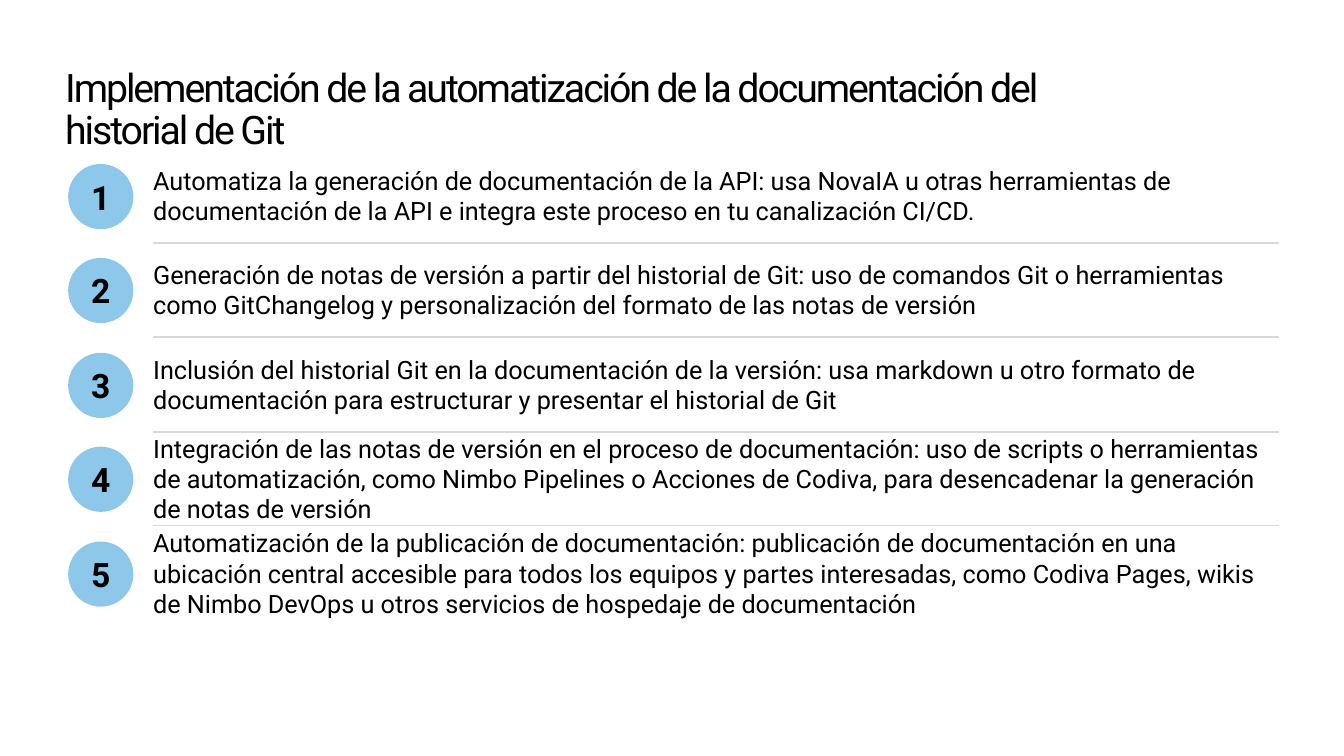
from lxml import etree
from pptx import Presentation
from pptx.dml.color import RGBColor
from pptx.enum.shapes import MSO_CONNECTOR, MSO_SHAPE
from pptx.enum.text import MSO_ANCHOR, PP_ALIGN
from pptx.oxml.ns import qn
from pptx.util import Pt

PX = 9144  # 100 px to the inch
BLACK = RGBColor(0x00, 0x00, 0x00)
BLUE = RGBColor(0x8D, 0xC8, 0xEB)
GREY = RGBColor(0xD9, 0xD9, 0xD9)
FONT = "Roboto"
STRAIGHT = MSO_CONNECTOR.STRAIGHT
OVAL = MSO_SHAPE.OVAL
TOP, MIDDLE = MSO_ANCHOR.TOP, MSO_ANCHOR.MIDDLE
CENTER = PP_ALIGN.CENTER

TITLE = "Implementación de la automatización de la documentación del historial de Git"
STEPS = [
    "Automatiza la generación de documentación de la API: usa NovaIA u otras "
    "herramientas de documentación de la API e integra este proceso en tu "
    "canalización CI/CD.",
    "Generación de notas de versión a partir del historial de Git: uso de comandos "
    "Git o herramientas como GitChangelog y personalización del formato de las "
    "notas de versión",
    "Inclusión del historial Git en la documentación de la versión: usa markdown u "
    "otro formato de documentación para estructurar y presentar el historial de Git",
    "Integración de las notas de versión en el proceso de documentación: uso de "
    "scripts o herramientas de automatización, como Nimbo Pipelines o Acciones de "
    "Codiva, para desencadenar la generación de notas de versión",
    "Automatización de la publicación de documentación: publicación de documentación "
    "en una ubicación central accesible para todos los equipos y partes interesadas, "
    "como Codiva Pages, wikis de Nimbo DevOps u otros servicios de hospedaje de "
    "documentación",
]

ROWS_TOP = 162
TWO_ROWS = 191  # height of two rows, each 95.5 px
TEXT_LEFT, TEXT_WIDTH, TEXT_HEIGHT = 155, 1139, 72
BADGE_LEFT, BADGE_SIZE, BADGE_DROP = 69, 66, 4
RULE_DROP = 84


def px(*lengths):
    return [n * PX for n in lengths]


def add_run(p, text, size, bold=False):
    r = p.add_run()
    r.text = text
    r.font.name = FONT
    r.font.size = Pt(size)
    r.font.bold = bold
    r.font.color.rgb = BLACK
    return r


def add_text(s, box, text, size, anchor, inset_top=0):
    """Add a wrapped text box and return its paragraph."""
    tf = s.shapes.add_textbox(*px(*box)).text_frame
    tf.word_wrap = True
    tf.vertical_anchor = anchor
    tf.margin_left = tf.margin_right = tf.margin_bottom = 0
    tf.margin_top = inset_top * PX
    p = tf.paragraphs[0]
    add_run(p, text, size)
    return p


def add_title(s):
    p = add_text(s, (66, 51, 1093, 96), TITLE, 28.6, TOP, inset_top=18)
    p.line_spacing = 0.9
    p.runs[0].font._element.set("spc", "-150")


def add_badge(s, top, number):
    sp = s.shapes.add_shape(OVAL, *px(BADGE_LEFT, top, BADGE_SIZE, BADGE_SIZE))
    sp.shadow.inherit = False
    sp.fill.solid()
    sp.fill.fore_color.rgb = BLUE
    sp.line.fill.background()
    tf = sp.text_frame
    tf.vertical_anchor = MIDDLE
    p = tf.paragraphs[0]
    p.alignment = CENTER
    add_run(p, str(number), 24.5, bold=True)


def add_rule(s, y):
    line = s.shapes.add_connector(
        STRAIGHT, *px(TEXT_LEFT, y, TEXT_LEFT + TEXT_WIDTH, y))
    line.line.color.rgb = GREY
    line.line.width = Pt(1)
    etree.SubElement(line._element.spPr, qn("a:effectLst"))


def main():
    prs = Presentation()
    prs.slide_width, prs.slide_height = px(1360, 765)
    s = prs.slides.add_slide(prs.slide_layouts[6])
    row_tops = [ROWS_TOP + i * TWO_ROWS // 2 for i in range(len(STEPS))]

    for top in row_tops[:-1]:
        add_rule(s, top + RULE_DROP)
    add_title(s)
    for number, (top, step) in enumerate(zip(row_tops, STEPS), start=1):
        add_badge(s, top + BADGE_DROP, number)
        add_text(s, (TEXT_LEFT, top, TEXT_WIDTH, TEXT_HEIGHT), step, 18.4, MIDDLE)

    prs.save("out.pptx")


if __name__ == "__main__":
    main()
